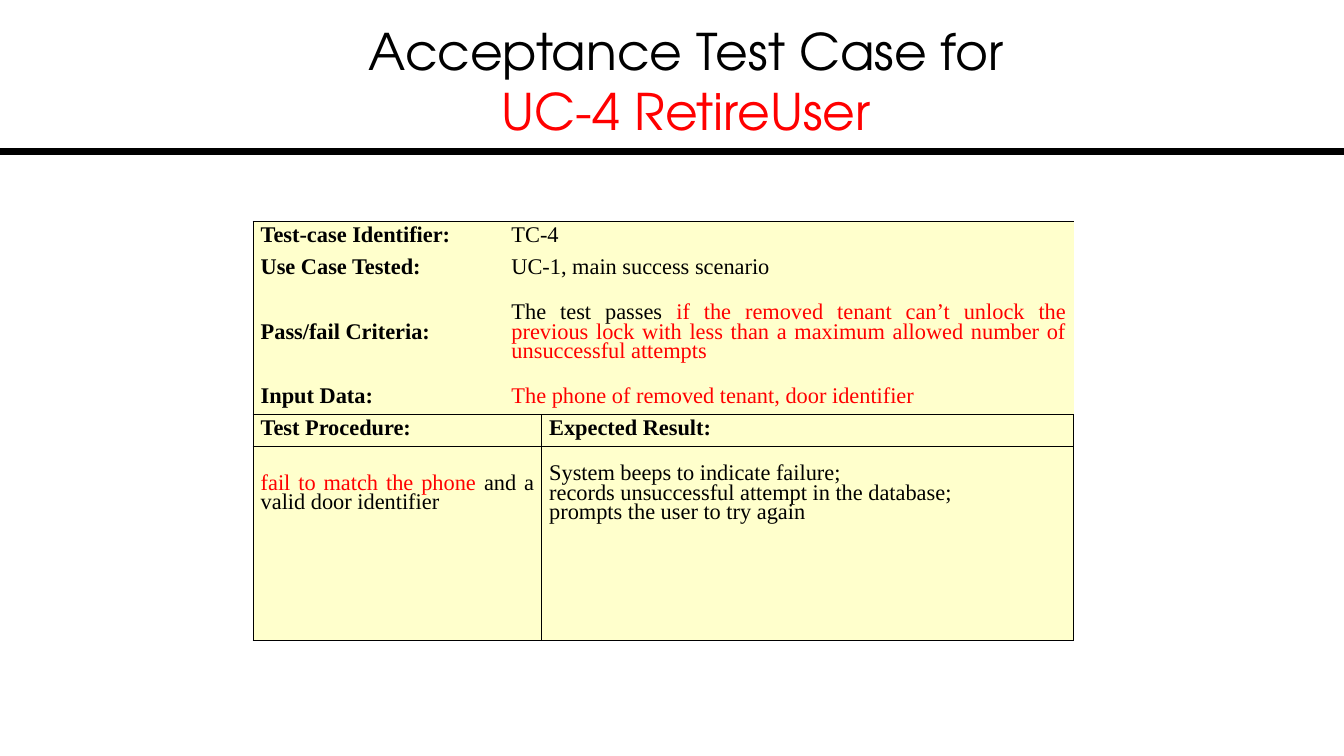
from lxml.etree import SubElement
from pptx import Presentation
from pptx.dml.color import RGBColor
from pptx.enum.shapes import MSO_CONNECTOR
from pptx.enum.text import MSO_ANCHOR, MSO_AUTO_SIZE, PP_ALIGN
from pptx.oxml.ns import qn
from pptx.util import Cm, Pt

INK = {"black": "000000", "red": "FF0000", "cream": "FFFFCC"}
SERIF = "Times New Roman"


def write(par, text, font=SERIF, size=16, bold=False, ink="black"):
    for n, line in enumerate(text.split("\n")):
        if n:
            par.add_line_break()
        if line:
            run = par.add_run()
            run.text = line
            run.font.name = font
            run.font.size = Pt(size)
            run.font.bold = bold
            run.font.color.rgb = RGBColor.from_string(INK[ink])


def edge(cell, sides):
    props = cell._tc.get_or_add_tcPr()
    for side in "LRTB":
        line = SubElement(props, qn("a:ln" + side), w=str(Pt(1)))
        if side in sides:
            fill = SubElement(line, qn("a:solidFill"))
            SubElement(fill, qn("a:srgbClr"), val=INK["black"])
        else:
            SubElement(line, qn("a:noFill"))


deck = Presentation()
deck.slide_width, deck.slide_height = Cm(33.87), Cm(19.05)
slide = deck.slides.add_slide(deck.slide_layouts[5])

rule = slide.shapes.add_connector(
    MSO_CONNECTOR.STRAIGHT, 0, Cm(3.82), deck.slide_width, Cm(3.82))
rule.line.width = Pt(4.5)
rule.line.color.rgb = RGBColor.from_string(INK["black"])
SubElement(rule._element.spPr, qn("a:effectLst"))

title = slide.shapes.title
title.left, title.top, title.width, title.height = Cm(1.42), Cm(0.43), Cm(31.75), Cm(3.18)
frame = title.text_frame
frame.auto_size = MSO_AUTO_SIZE.NONE
frame.word_wrap = True
frame.vertical_anchor = MSO_ANCHOR.MIDDLE
frame.margin_left = frame.margin_right = 0
head = frame.paragraphs[0]
head.alignment = PP_ALIGN.CENTER
for text, ink in [("Acceptance Test Case for\n", "black"), ("UC-4 RetireUser", "red")]:
    write(head, text, font="TeX Gyre Adventor", size=36, ink=ink)

label = {"bold": True}
red = {"ink": "red"}
rows = [
    (0.81, [("Test-case Identifier:", label)], [("TC-4", {})], "LT", "T"),
    (0.81, [("Use Case Tested:", label)], [("UC-1, main success scenario", {})], "L", ""),
    (2.44, [("Pass/fail Criteria:", label)],
     [("The test passes ", {}),
      ("if the removed tenant can’t unlock the previous lock with less than "
       "a maximum allowed number of unsuccessful attempts", red)], "L", ""),
    (0.81, [("Input Data:", label)],
     [("The phone of removed tenant, door identifier", red)], "LB", "B"),
    (0.81, [("Test Procedure:", label)], [("Expected Result:", label)], "LRTB", "LRTB"),
    (2.44, [("fail to match the phone ", red), ("and a valid door identifier", {})],
     [("System beeps to indicate failure;\n"
       "records unsuccessful attempt in the database;\n"
       "prompts the user to try again", {})], "LRT", "LRT"),
    (2.44, [], [], "LRB", "LRB"),
]
wide = [6.32, 0.95, 13.41]
split = 4

grid = slide.shapes.add_table(
    len(rows), len(wide), Cm(6.38), Cm(5.58),
    Cm(sum(wide)), Cm(sum(row[0] for row in rows))).table
grid.first_row = grid.horz_banding = False
for col, width in zip(grid.columns, wide):
    col.width = Cm(width)

for r, (tall, left, right, near, far) in enumerate(rows):
    grid.rows[r].height = Cm(tall)
    low = r >= split
    start = 0 if low else 1
    grid.cell(r, start).merge(grid.cell(r, start + 1))
    for c, sides in enumerate([near, near if low else far, far]):
        cell = grid.cell(r, c)
        edge(cell, sides)
        cell.fill.solid()
        cell.fill.fore_color.rgb = RGBColor.from_string(INK["cream"])
    for c, parts in [(0, left), (2 if low else 1, right)]:
        cell = grid.cell(r, c)
        cell.vertical_anchor = MSO_ANCHOR.MIDDLE
        cell.margin_left = cell.margin_right = Cm(0.19)
        cell.margin_top = cell.margin_bottom = 0
        par = cell.text_frame.paragraphs[0]
        par.alignment = PP_ALIGN.LEFT if r == 5 and c else PP_ALIGN.JUSTIFY
        par.line_spacing = Pt(14)
        par.space_before = Pt(6)
        for text, look in parts:
            write(par, text, **look)

deck.save("out.pptx")
